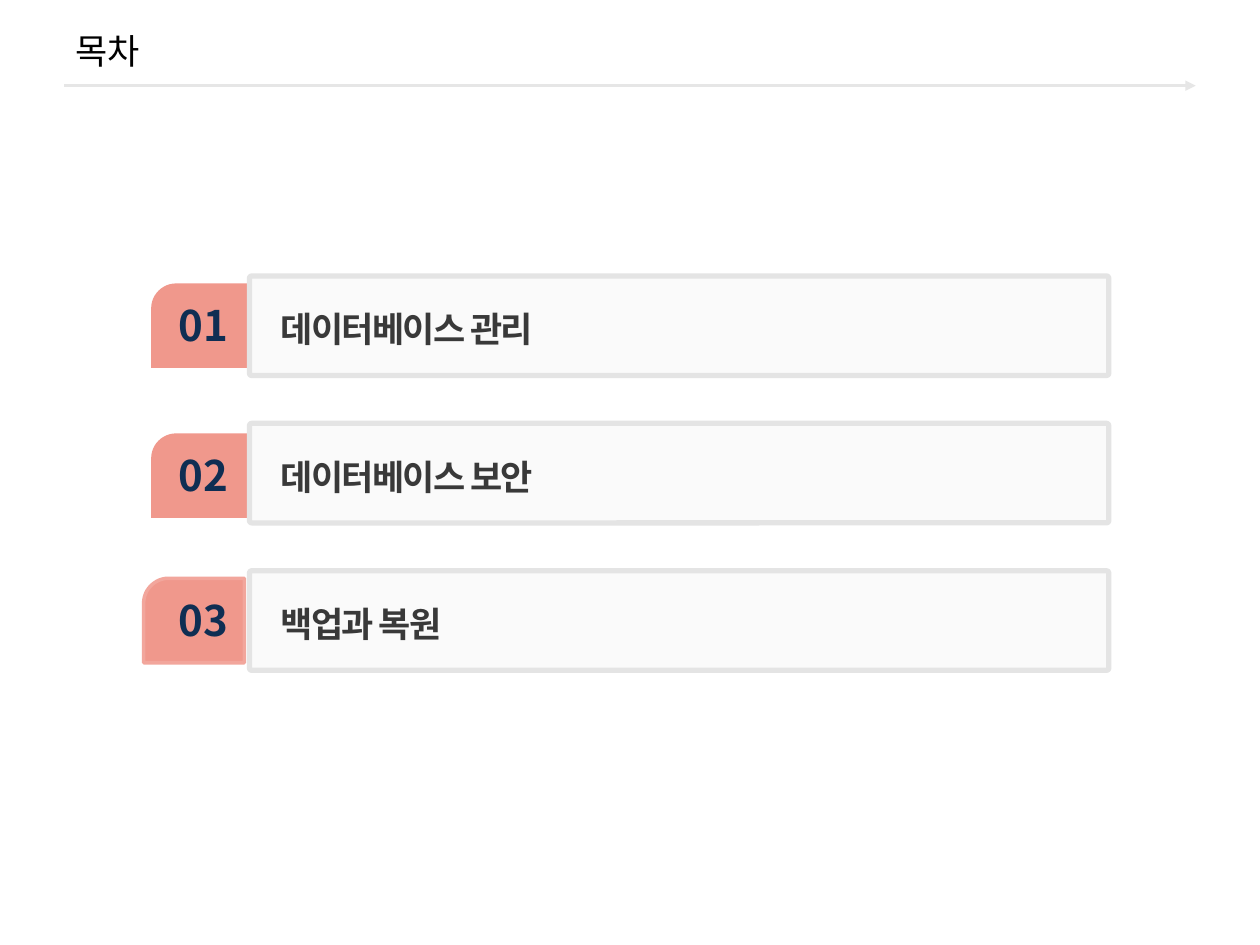
from lxml import etree
from pptx import Presentation
from pptx.dml.color import RGBColor
from pptx.enum.shapes import MSO_CONNECTOR, MSO_SHAPE
from pptx.enum.text import MSO_ANCHOR, MSO_AUTO_SIZE, PP_ALIGN
from pptx.oxml.ns import qn
from pptx.util import Inches, Pt

STRAIGHT = MSO_CONNECTOR.STRAIGHT
TAB_SHAPE = MSO_SHAPE.SNIP_ROUND_RECTANGLE
BAR_SHAPE = MSO_SHAPE.ROUNDED_RECTANGLE
MIDDLE = MSO_ANCHOR.MIDDLE
FIT_SHAPE = MSO_AUTO_SIZE.SHAPE_TO_FIT_TEXT
LEFT, CENTER = PP_ALIGN.LEFT, PP_ALIGN.CENTER

FONT = "Noto Sans CJK KR"
BLACK = RGBColor(0x00, 0x00, 0x00)
RULE_GRAY = RGBColor(0xE6, 0xE6, 0xE6)
CORAL = RGBColor(0xF0, 0x98, 0x8C)
CORAL_EDGE = RGBColor(0xF2, 0xA6, 0x9C)
NAVY = RGBColor(0x0F, 0x2E, 0x53)
BAR_FILL = RGBColor(0xF2, 0xF2, 0xF2)
BAR_EDGE = RGBColor(0xE4, 0xE4, 0xE4)
CHARCOAL = RGBColor(0x39, 0x39, 0x39)

FIRST_ROW, ROW_PITCH = 2.19, 1.17
BAR_LEFT, BAR_WIDTH, BAR_HEIGHT = 1.98, 6.82, 0.79
TAB_WIDTH, TAB_HEIGHT = 0.8, 0.67


def inches(*lengths):
    return [Inches(length) for length in lengths]


def style_text(paragraph, size, color, align, bold=False):
    paragraph.alignment = align
    for run in paragraph.runs:
        run.font.size = Pt(size)
        run.font.bold = bold
        run.font.color.rgb = color
        run.font.name = FONT
        etree.SubElement(run.font._element, qn("a:ea"), typeface=FONT)


def add_title(slide, text):
    title = slide.shapes.title
    title.left, title.top, title.width, title.height = inches(0.5, 0.08, 9, 0.64)
    title.text_frame.text = text
    title.text_frame.vertical_anchor = MIDDLE
    style_text(title.text_frame.paragraphs[0], 20, BLACK, LEFT)


def add_title_rule(slide):
    rule = slide.shapes.add_connector(STRAIGHT, *inches(0.51, 0.68, 9.49, 0.68))
    rule.line.color.rgb = RULE_GRAY
    rule.line.width = Pt(1.5)
    etree.SubElement(rule.line._get_or_add_ln(), qn("a:tailEnd"), type="triangle")
    etree.SubElement(rule._element.spPr, qn("a:effectLst"))


def add_panel(group, shape_type, box, corners, fill, edge=None, edge_width=0):
    panel = group.shapes.add_shape(shape_type, *inches(*box))
    panel.shadow.inherit = False
    for index, corner in enumerate(corners):
        panel.adjustments[index] = corner
    panel.fill.solid()
    panel.fill.fore_color.rgb = fill
    if edge is None:
        panel.line.fill.background()
    else:
        panel.line.color.rgb = edge
        panel.line.width = Pt(edge_width)
    return panel


def add_label(group, box, text, size, color, align, wrap):
    label = group.shapes.add_textbox(*inches(*box))
    label.text_frame.word_wrap = wrap
    label.text_frame.auto_size = FIT_SHAPE
    label.text_frame.text = text
    paragraph = label.text_frame.paragraphs[0]
    style_text(paragraph, size, color, align, bold=True)
    return paragraph


def add_entry(slide, row, topic, tab_left, tab_drop, tab_edge):
    group = slide.shapes.add_group_shape()
    top = FIRST_ROW + row * ROW_PITCH
    tab_top = top + tab_drop
    add_panel(group, TAB_SHAPE, (tab_left, tab_top, TAB_WIDTH, TAB_HEIGHT),
              (0.296, 0), CORAL, tab_edge, 2)
    add_label(group, (1.32, tab_top + 0.08, 0.59, 0.5), f"{row + 1:02d}",
              24, NAVY, CENTER, False)
    bar = add_panel(group, BAR_SHAPE, (BAR_LEFT, top, BAR_WIDTH, BAR_HEIGHT),
                    (0.023,), BAR_FILL, BAR_EDGE, 3)
    bar_color = bar._element.spPr.find(qn("a:solidFill"))[0]
    etree.SubElement(bar_color, qn("a:alpha"), val="33000")
    heading = add_label(group, (2.13, top + 0.17, 5.28, 0.44), topic,
                        20, CHARCOAL, LEFT, True)
    heading.line_spacing = 1.1
    heading.space_after = Pt(3)
    heading.runs[0].font._element.set("spc", "-100")


def main():
    deck = Presentation()
    deck.slide_width, deck.slide_height = inches(10, 7.5)
    slide = deck.slides.add_slide(deck.slide_layouts[5])
    add_title_rule(slide)
    add_title(slide, "목차")
    entries = [
        (2, "백업과 복원", 1.14, 0.06, CORAL_EDGE),
        (0, "데이터베이스 관리", 1.2, 0.06, None),
        (1, "데이터베이스 보안", 1.2, 0.08, None),
    ]
    for entry in entries:
        add_entry(slide, *entry)
    deck.save("out.pptx")


if __name__ == "__main__":
    main()
